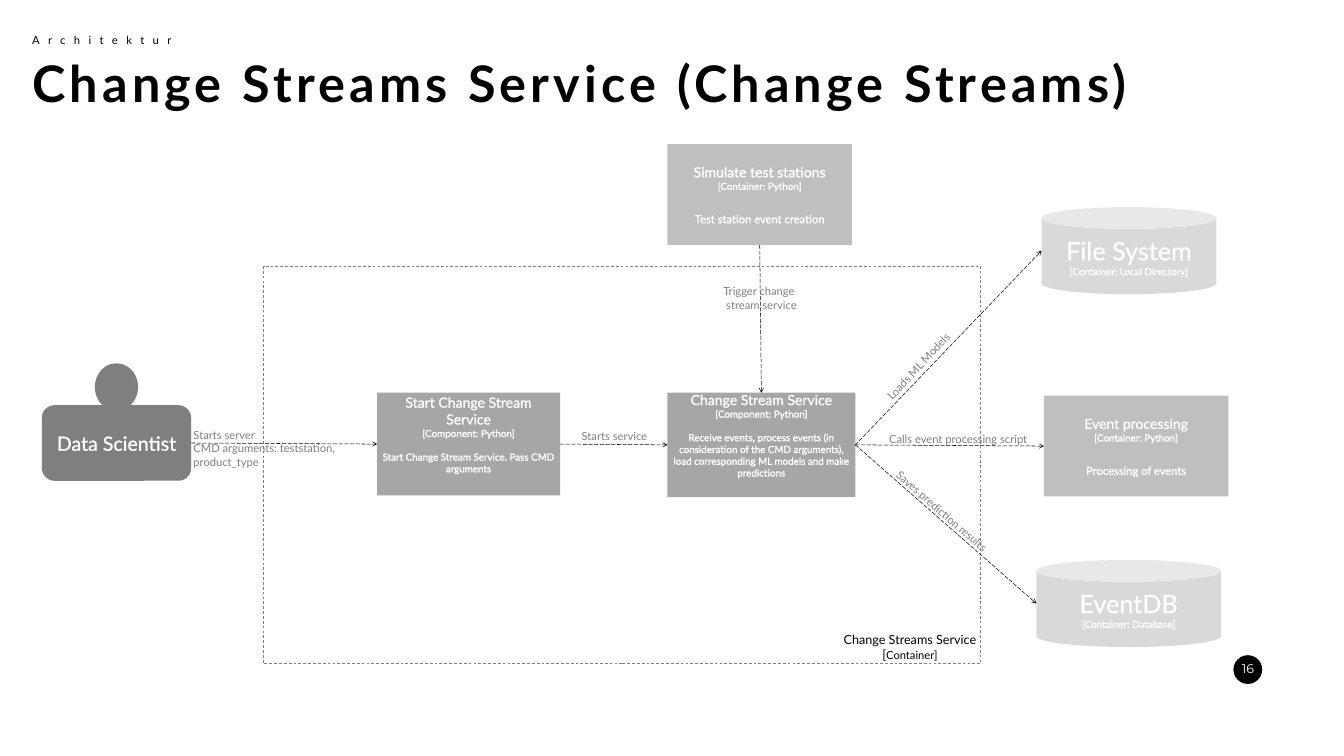
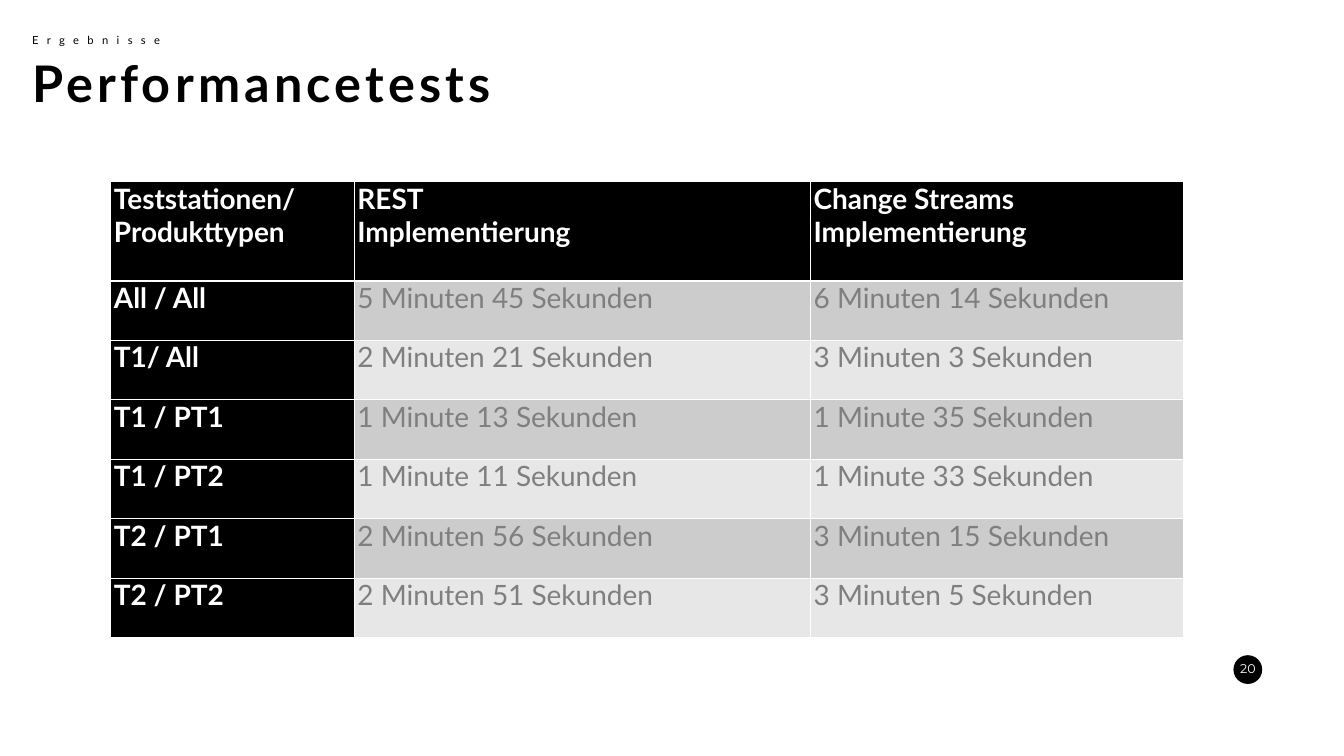
from copy import deepcopy

from lxml import etree
from pptx import Presentation
from pptx import util as u
from pptx.dml.color import RGBColor
from pptx.enum import dml, shapes, text
from pptx.oxml.ns import qn

BLACK, WHITE, GREY = "000000", "FFFFFF", "7F7F7F"
MID, LIGHT, PALE = "A6A6A6", "BFBFBF", "D9D9D9"
LEFT, CENTER = text.PP_ALIGN.LEFT, text.PP_ALIGN.CENTER
TOP, MIDDLE = text.MSO_ANCHOR.TOP, text.MSO_ANCHOR.MIDDLE
FORM = shapes.MSO_SHAPE


def paint(target, color):
    if hasattr(target, "solid"):
        target.solid()
        target = target.fore_color
    else:
        target = target.color
    target.rgb = RGBColor.from_string(color)


def write(frame, rows, size=16, color=GREY, align=LEFT, font="Lato", bold=False,
          spacing=0, outline=False, gaps={}, anchor=TOP, wrap=True, grow=False):
    frame.word_wrap = wrap
    frame.vertical_anchor = anchor
    frame.auto_size = text.MSO_AUTO_SIZE.SHAPE_TO_FIT_TEXT if grow else text.MSO_AUTO_SIZE.NONE
    for index, row in enumerate(rows):
        para = frame.paragraphs[0] if index == 0 else frame.add_paragraph()
        para.alignment = align
        if index in gaps:
            para.space_before = u.Pt(gaps[index])
        for words, points in [(row, size)] if isinstance(row, str) else row:
            for number, part in enumerate(words.split("\n")):
                if number:
                    para.add_line_break()
                span = para.add_run()
                span.text = part
                span.font.name = font
                span.font.size = u.Pt(points)
                span.font.bold = bold
                paint(span.font.fill, color)
                props = span._r.get_or_add_rPr()
                if spacing:
                    props.set("spc", str(spacing * 100))
                if outline:
                    edge = etree.Element(qn("a:ln"), w=str(u.Pt(0.75)))
                    fill = etree.SubElement(edge, qn("a:solidFill"))
                    etree.SubElement(fill, qn("a:srgbClr"), val=color)
                    props.insert(0, edge)
        for line_break in para._p.findall(qn("a:br")):
            line_break.insert(0, deepcopy(span._r.rPr))


deck = Presentation()
deck.slide_width, deck.slide_height = u.Cm(67.72), u.Cm(38.1)

pages = []
for kicker, heading, number in [
    ("Architektur", "Change Streams Service (Change Streams)", "16"),
    ("Ergebnisse", "Performancetests", "20"),
]:
    page = deck.slides.add_slide(deck.slide_layouts[5])
    pages.append(page)
    title = page.shapes.title
    title.left, title.top, title.width, title.height = map(u.Cm, (1.37, 2.49, 65.74, 3.33))
    write(title.text_frame, [heading], size=72, color=BLACK, bold=True, spacing=6, grow=True)

    box = page.shapes.add_textbox(*map(u.Cm, (1.37, 1.55, 7.7, 0.94)))
    write(box.text_frame, [kicker], color=BLACK, spacing=12, wrap=False, grow=True)

    badge = page.shapes.add_shape(FORM.OVAL, *map(u.Cm, (62.15, 33.02, 1.45, 1.45)))
    badge.shadow.inherit = False
    paint(badge.fill, BLACK)
    badge.line.fill.background()
    box = page.shapes.add_textbox(*map(u.Cm, (61.98, 33.05, 2.18, 1.27)))
    frame = box.text_frame
    frame.margin_left, frame.margin_right = u.Cm(0.51), u.Cm(0.89)
    frame.margin_top = frame.margin_bottom = u.Cm(0.25)
    write(frame, [number], size=18, color=WHITE, align=CENTER, font="Montserrat", wrap=False)

diagram, results = pages

border = diagram.shapes.add_shape(FORM.RECTANGLE, *map(u.Cm, (13.28, 13.41, 36.14, 20.04)))
border.shadow.inherit = False
border.fill.background()
paint(border.line, GREY)
border.line.width = u.Pt(1)
border.line.dash_style = dml.MSO_LINE.DASH

person = diagram.shapes.add_group_shape()
nodes = {}
for name, home, form, color, place, rows, gaps, bottom in [
    ("scientist", person, FORM.ROUNDED_RECTANGLE, GREY, (2.11, 20.42, 7.52, 3.81),
     [[("Data Scientist", 28)]], {}, 0.13),
    ("head", person, FORM.OVAL, GREY, (4.78, 18.31, 2.18, 2.39), [], {}, 0.13),
    ("start", diagram, FORM.RECTANGLE, MID, (19, 19.79, 9.22, 5.18),
     [[("Start Change Stream Service", 20)], [("[Component: Python]", 14)],
      [("Start Change Stream Service. Pass CMD arguments", 14)]], {2: 16.8}, 1.14),
    ("service", diagram, FORM.RECTANGLE, MID, (33.63, 19.79, 9.47, 5.26),
     [[("Change Stream Service", 20)], [("[Component: Python]", 14)],
      [("Receive events, process events (in consideration of the CMD arguments),", 14)],
      [("load corresponding ML models and make predictions", 14)]], {2: 16.8}, 1.14),
    ("simulate", diagram, FORM.RECTANGLE, LIGHT, (33.63, 7.26, 9.3, 5.08),
     [[("Simulate test stations", 20)], [("[Container: Python]", 14)],
      [("Test station event creation", 16)]], {2: 28.8}, 0.13),
    ("processing", diagram, FORM.RECTANGLE, LIGHT, (52.6, 19.94, 9.3, 5.08),
     [[("Event processing", 20)], [("[Container: Python]", 14)],
      [("Processing of events", 16)]], {2: 28.8}, 0.13),
    ("files", diagram, FORM.CAN, PALE, (52.48, 10.44, 8.81, 4.39),
     [[("File System", 36)], [("[Container: Local Directory]", 14)]], {}, 0.13),
    ("database", diagram, FORM.CAN, PALE, (52.22, 28.22, 9.3, 4.39),
     [[("EventDB", 36)], [("[Container: Database]", 14)]], {}, 0.13),
]:
    node = home.shapes.add_shape(form, *map(u.Cm, place))
    node.shadow.inherit = False
    paint(node.fill, color)
    node.line.fill.background()
    node.text_frame.margin_bottom = u.Cm(bottom)
    write(node.text_frame, rows, color=WHITE, align=CENTER, outline=True, gaps=gaps, anchor=MIDDLE)
    nodes[name] = node

for source, side, target, target_side in [
    ("simulate", 2, "service", 0),
    ("scientist", 3, "start", 1),
    ("start", 3, "service", 1),
    ("service", 3, "processing", 1),
    ("service", 3, "files", None),
    ("service", 3, "database", None),
]:
    goal = nodes[target]
    arrow = diagram.shapes.add_connector(
        shapes.MSO_CONNECTOR.STRAIGHT, 0, 0, goal.left, goal.top + goal.height // 2)
    arrow.begin_connect(nodes[source], side)
    if target_side is not None:
        arrow.end_connect(goal, target_side)
    paint(arrow.line, BLACK)
    arrow.line.width = u.Pt(0.75)
    arrow.line.dash_style = dml.MSO_LINE.LONG_DASH
    props = arrow._element.spPr
    etree.SubElement(props.find(qn("a:ln")), qn("a:tailEnd"), type="arrow")
    etree.SubElement(props, qn("a:effectLst"))

for place, angle, rows, color, align in [
    ((42.09, 31.72, 7.52, 1.8), 0,
     [[("Change Streams Service\n[", 18), ("Container]", 16)]], BLACK, CENTER),
    ((43.1, 16.26, 9.58, 0.94), 312.9, ["Loads ML Models"], GREY, LEFT),
    ((36.2, 14.22, 6.12, 1.63), 0, ["Trigger change", " stream service"], GREY, LEFT),
    ((9.5, 21.46, 9.58, 2.31), 0,
     ["Starts server\nCMD arguments: teststation, product_type"], GREY, LEFT),
    ((29.06, 21.49, 9.58, 0.94), 0, ["Starts service"], GREY, LEFT),
    ((44.55, 21.67, 9.58, 0.94), 0, ["Calls event processing script"], GREY, LEFT),
    ((43.89, 26.37, 9.58, 0.94), 41, ["Saves prediction results"], GREY, LEFT),
]:
    label = diagram.shapes.add_textbox(*map(u.Cm, place))
    label.rotation = angle
    write(label.text_frame, rows, color=color, align=align, grow=True)

durations = [
    (["Teststationen/ Produkttypen"], ["REST", "Implementierung"],
     ["Change Streams\nImplementierung"]),
    (["All / All"], ["5 Minuten 45 Sekunden"], ["6 Minuten 14 Sekunden"]),
    (["T1/ All"], ["2 Minuten 21 Sekunden"], ["3 Minuten 3 Sekunden"]),
    (["T1 / PT1"], ["1 Minute 13 Sekunden"], ["1 Minute 35 Sekunden"]),
    (["T1 / PT2"], ["1 Minute 11 Sekunden"], ["1 Minute 33 Sekunden"]),
    (["T2 / PT1"], ["2 Minuten 56 Sekunden"], ["3 Minuten 15 Sekunden"]),
    (["T2 / PT2"], ["2 Minuten 51 Sekunden"], ["3 Minuten 5 Sekunden"]),
]
table = results.shapes.add_table(
    len(durations), 3, *map(u.Cm, (5.56, 9.14, 54.05, 22.99))).table
table.first_col = True
for column, width in zip(table.columns, (12.27, 22.99, 18.8)):
    column.width = u.Cm(width)
for row_index, entries in enumerate(durations):
    table.rows[row_index].height = u.Cm(3 if row_index else 5)
    for column_index, rows in enumerate(entries):
        cell = table.cell(row_index, column_index)
        cell.margin_left = cell.margin_right = u.Cm(0.18)
        cell.margin_top = cell.margin_bottom = 0
        head = row_index == 0 or column_index == 0
        paint(cell.fill, BLACK if head else "CCCCCC" if row_index % 2 else "E7E7E7")
        write(cell.text_frame, rows, size=40, color=WHITE if head else GREY, bold=head)
        props = cell._tc.get_or_add_tcPr()
        for position, side in enumerate("LRTB"):
            thick = (row_index, side) in [(0, "B"), (1, "T")]
            edge = etree.Element(qn("a:ln" + side), w=str(u.Pt(3 if thick else 1)))
            fill = etree.SubElement(edge, qn("a:solidFill"))
            etree.SubElement(fill, qn("a:srgbClr"), val=WHITE)
            props.insert(position, edge)

deck.save("out.pptx")
